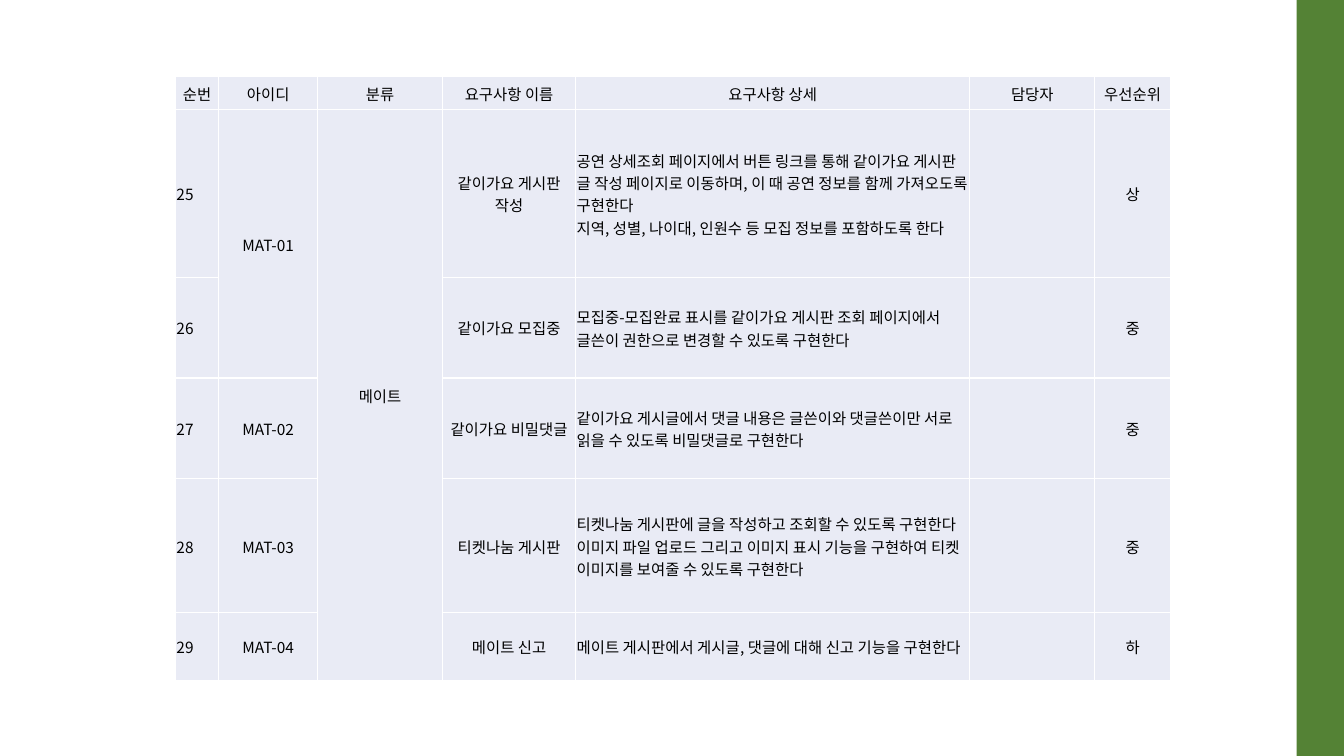
"""Build a requirements table slide for the companion board."""
from lxml import etree
from pptx import Presentation
from pptx.dml.color import RGBColor
from pptx.enum import shapes, text
from pptx.oxml import ns
from pptx.util import Inches, Pt

FONT = "Noto Sans CJK KR"
GREEN = RGBColor(0x54, 0x82, 0x35)
CELL_FILL = RGBColor(0xE9, 0xEB, 0xF5)
BLACK = RGBColor(0, 0, 0)

COLUMN_WIDTHS = [0.43, 0.98, 1.24, 1.32, 3.91, 1.24, 0.75]
ROW_HEIGHTS = [0.33, 1.66, 1, 1, 1.33, 0.67]
NUMBER_COLUMN, DETAIL_COLUMN = 0, 4
MERGES = [((1, 1), (2, 1)), ((1, 2), (5, 2))]
ROWS = [
    ("순번", "아이디", "분류", "요구사항 이름", "요구사항 상세", "담당자", "우선순위"),
    ("25", "MAT-01", "메이트", "같이가요 게시판 작성",
     "공연 상세조회 페이지에서 버튼 링크를 통해 같이가요 게시판 글 작성 페이지로 이동하며, "
     "이 때 공연 정보를 함께 가져오도록 구현한다\n"
     "지역, 성별, 나이대, 인원수 등 모집 정보를 포함하도록 한다", "", "상"),
    ("26", "", "", "같이가요 모집중",
     "모집중-모집완료 표시를 같이가요 게시판 조회 페이지에서 글쓴이 권한으로 변경할 수 있도록 구현한다",
     "", "중"),
    ("27", "MAT-02", "", "같이가요 비밀댓글",
     "같이가요 게시글에서 댓글 내용은 글쓴이와 댓글쓴이만 서로 읽을 수 있도록 비밀댓글로 구현한다",
     "", "중"),
    ("28", "MAT-03", "", "티켓나눔 게시판",
     "티켓나눔 게시판에 글을 작성하고 조회할 수 있도록 구현한다\n"
     "이미지 파일 업로드 그리고 이미지 표시 기능을 구현하여 티켓 이미지를 보여줄 수 있도록 구현한다",
     "", "중"),
    ("29", "MAT-04", "", "메이트 신고",
     "메이트 게시판에서 게시글, 댓글에 대해 신고 기능을 구현한다", "", "하"),
]


def add_side_band(slide):
    band = slide.shapes.add_shape(shapes.MSO_SHAPE.RECTANGLE, Inches(12.86), 0,
                                  Inches(0.47), Inches(7.5))
    band.shadow.inherit = False
    band.fill.solid()
    band.fill.fore_color.rgb = GREEN
    band.line.fill.background()


def fill_cell(cell, content, alignment):
    cell.fill.solid()
    cell.fill.fore_color.rgb = CELL_FILL
    cell.vertical_anchor = text.MSO_ANCHOR.MIDDLE
    cell.margin_left = cell.margin_right = cell.margin_top = Inches(0.01)
    cell.margin_bottom = 0
    paragraph = cell.text_frame.paragraphs[0]
    paragraph.text = content
    paragraph.alignment = alignment
    font = paragraph.font
    font.size, font.name, font.color.rgb = Pt(11), FONT, BLACK
    properties = paragraph._p.pPr.find(ns.qn("a:defRPr"))
    east_asian = etree.SubElement(properties, ns.qn("a:ea"))
    east_asian.set("typeface", FONT)


def add_requirements_table(slide):
    frame = slide.shapes.add_table(len(ROWS), len(COLUMN_WIDTHS), Inches(1.74), Inches(0.76),
                                   Inches(sum(COLUMN_WIDTHS)), Inches(sum(ROW_HEIGHTS)))
    table = frame.table
    table.first_row = table.horz_banding = False
    for column, width in zip(table.columns, COLUMN_WIDTHS):
        column.width = Inches(width)
    for row, height in zip(table.rows, ROW_HEIGHTS):
        row.height = Inches(height)
    for row_index, row in enumerate(ROWS):
        for column_index, content in enumerate(row):
            left = row_index > 0 and column_index in (NUMBER_COLUMN, DETAIL_COLUMN)
            alignment = text.PP_ALIGN.LEFT if left else text.PP_ALIGN.CENTER
            fill_cell(table.cell(row_index, column_index), content, alignment)
    for first, last in MERGES:
        table.cell(*first).merge(table.cell(*last))


def main():
    presentation = Presentation()
    presentation.slide_width = Inches(13.33)
    presentation.slide_height = Inches(7.5)
    slide = presentation.slides.add_slide(presentation.slide_layouts[6])
    add_side_band(slide)
    add_requirements_table(slide)
    presentation.save("out.pptx")


if __name__ == "__main__":
    main()
